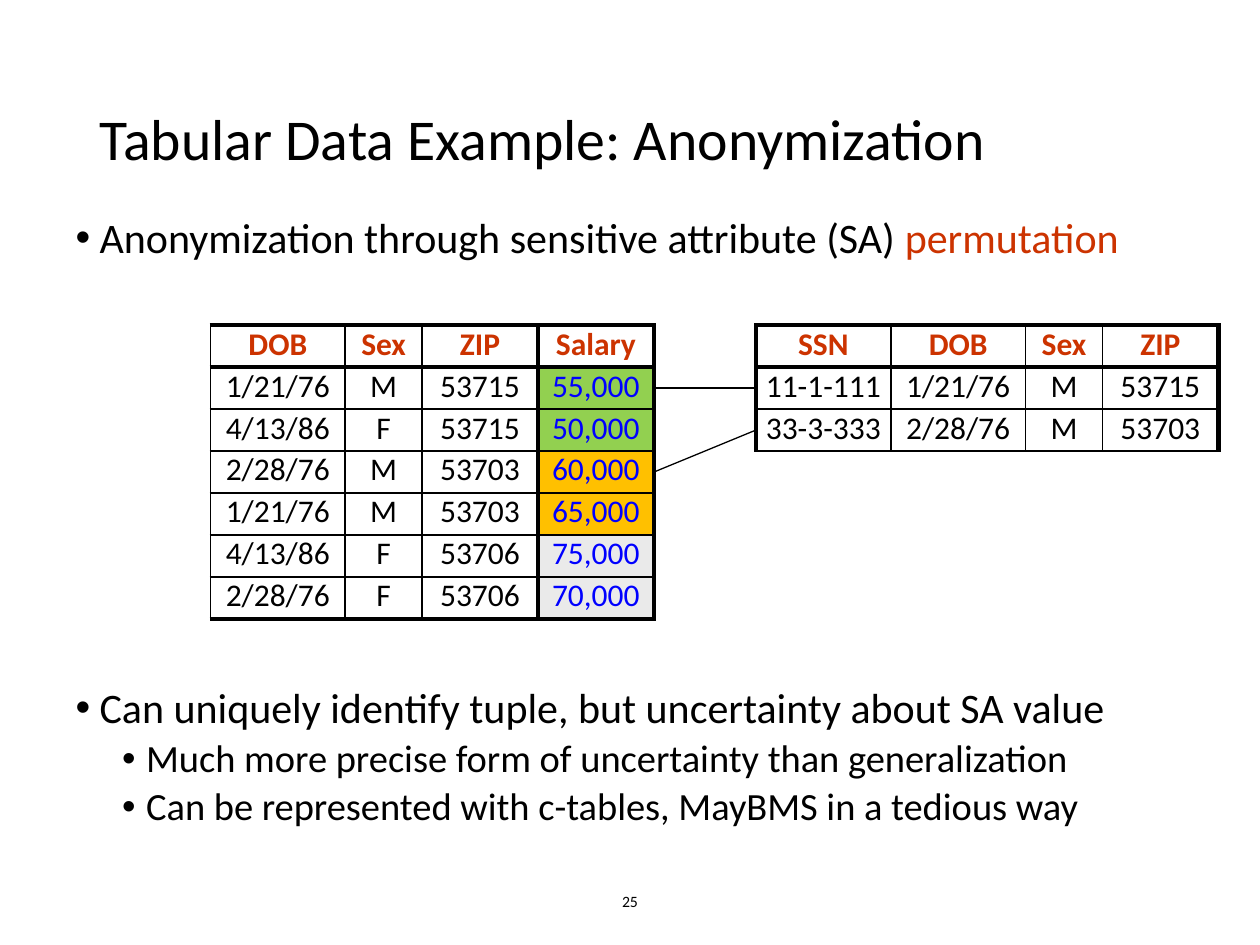
import pptx
import pptx.dml.color
import pptx.enum.shapes
import pptx.enum.text
import pptx.oxml
import pptx.oxml.ns
import pptx.util
from pptx.util import Inches

COLORS = {"text": "000000", "accent": "CC3300", "salary": "0000FF",
          "green": "92D050", "amber": "FFC000", "gray": "EAEAEA"}
FONT = "Calibri"
ALIGN = pptx.enum.text.PP_ALIGN
ANCHOR = pptx.enum.text.MSO_ANCHOR

# Content
TITLE = "Tabular Data Example: Anonymization"
PAGE_NUMBER = "25"
# Each bullet: level, space before (pt), text size, runs of (text, color)
BULLETS = [
    (0, 0, 24, [("Anonymization through sensitive attribute (SA) ", "text"),
                ("permutation", "accent")]),
    (0, 243, 24, [("Can uniquely identify tuple, but uncertainty about SA value", "text")]),
    (1, 3.8, 22, [("Much more precise form of uncertainty than generalization", "text")]),
    (1, 3.8, 22, [("Can be represented with c-tables, MayBMS in a tedious way", "text")]),
]
WIDTHS = {"SSN": 1.07, "DOB": 1.07, "Sex": 0.61, "ZIP": 0.92, "Salary": 0.92}
SALARIES = {
    "left": 1.67,
    "rows": [
        ("DOB", "Sex", "ZIP", "Salary"),
        ("1/21/76", "M", "53715", "55,000"),
        ("4/13/86", "F", "53715", "50,000"),
        ("2/28/76", "M", "53703", "60,000"),
        ("1/21/76", "M", "53703", "65,000"),
        ("4/13/86", "F", "53706", "75,000"),
        ("2/28/76", "F", "53706", "70,000"),
    ],
    "groups": ["green", "green", "amber", "amber", "gray", "gray"],
    "vertical": [1, 1, 1, 3, 2.25],
    "horizontal": [2.25, 3, 1, 1, 1, 1, 1, 2.25],
}
PEOPLE = {
    "left": 6,
    "rows": [
        ("SSN", "DOB", "Sex", "ZIP"),
        ("11-1-111", "1/21/76", "M", "53715"),
        ("33-3-333", "2/28/76", "M", "53703"),
    ],
    "groups": [],
    "vertical": [2.25, 1, 1, 1, 3],
    "horizontal": [2.25, 3, 1, 1],
}
LINKS = [(1, 1), (3, 2)]  # salary row, person row
TABLE_TOP = 2.58
ROW_HEIGHT = 1 / 3


def color(name):
    return pptx.dml.color.RGBColor.from_string(COLORS[name])


def add_run(paragraph, text, size, color_name="text", bold=False):
    run = paragraph.add_run()
    run.text = text
    formats = {"name": FONT, "size": pptx.util.Pt(size), "bold": bold}
    for attribute, value in formats.items():
        setattr(run.font, attribute, value)
    run.font.color.rgb = color(color_name)


def place(shape, left, top, width, height):
    box = {"left": left, "top": top, "width": width, "height": height}
    for attribute, value in box.items():
        setattr(shape, attribute, Inches(value))


def add_element(parent, xml):
    namespace = pptx.oxml.ns.nsdecls("a")
    parent.append(pptx.oxml.parse_xml(xml.replace("/>", f" {namespace}/>", 1)
                                      if xml.endswith("/>") and xml.count("<") == 1
                                      else xml.replace(">", f" {namespace}>", 1)))


def add_borders(cell, weights):
    for side, weight in weights.items():
        add_element(cell._tc.get_or_add_tcPr(),
                    f'<a:{side} w="{int(weight * 12700)}"><a:solidFill>'
                    f'<a:srgbClr val="{COLORS["text"]}"/></a:solidFill></a:{side}>')


def add_data_table(slide, data):
    rows, vertical, horizontal = data["rows"], data["vertical"], data["horizontal"]
    widths = [WIDTHS[heading] for heading in rows[0]]
    table = slide.shapes.add_table(
        len(rows), len(widths), Inches(data["left"]), Inches(TABLE_TOP),
        Inches(sum(widths)), Inches(ROW_HEIGHT * len(rows))).table
    table.first_row = table.horz_banding = False
    for column, width in zip(table.columns, widths):
        column.width = Inches(width)
    for r, values in enumerate(rows):
        table.rows[r].height = Inches(ROW_HEIGHT)
        for c, value in enumerate(values):
            cell = table.cell(r, c)
            formats = {"margin_left": Inches(0.05), "margin_right": Inches(0.05),
                       "margin_top": 0, "margin_bottom": 0,
                       "vertical_anchor": ANCHOR.TOP}
            for attribute, setting in formats.items():
                setattr(cell, attribute, setting)
            add_borders(cell, {"lnL": vertical[c], "lnR": vertical[c + 1],
                               "lnT": horizontal[r], "lnB": horizontal[r + 1]})
            is_salary = r > 0 and rows[0][c] == "Salary"
            if is_salary:
                cell.fill.solid()
                cell.fill.fore_color.rgb = color(data["groups"][r - 1])
            else:
                cell.fill.background()
            paragraph = cell.text_frame.paragraphs[0]
            paragraph.alignment = ALIGN.CENTER
            tone = "accent" if r == 0 else "salary" if is_salary else "text"
            add_run(paragraph, value, 18, tone, bold=r == 0)


def row_middle(row):
    return Inches(TABLE_TOP + ROW_HEIGHT * (row + 0.5))


def main():
    deck = pptx.Presentation()
    deck.slide_width, deck.slide_height = Inches(10), Inches(7.5)
    slide = deck.slides.add_slide(deck.slide_layouts[1])

    # Title
    title = slide.shapes.title
    place(title, 0.69, 0.4, 8.62, 1.45)
    title.text_frame.vertical_anchor = ANCHOR.MIDDLE
    title.text_frame.auto_size = pptx.enum.text.MSO_AUTO_SIZE.NONE
    heading = title.text_frame.paragraphs[0]
    heading.alignment, heading.line_spacing = ALIGN.LEFT, 0.9
    add_run(heading, TITLE, 33)

    # Bullets, leaving room for the tables after the first
    body = slide.placeholders[1]
    place(body, 0.5, 1.67, 9.5, 5.42)
    frame = body.text_frame
    frame.auto_size = pptx.enum.text.MSO_AUTO_SIZE.NONE
    for index, (level, space, size, runs) in enumerate(BULLETS):
        paragraph = frame.add_paragraph() if index else frame.paragraphs[0]
        properties = paragraph._p.get_or_add_pPr()
        properties.set("marL", str(Inches(0.19 + 0.37 * level)))
        properties.set("indent", str(Inches(-0.19)))
        add_element(properties, '<a:buFont typeface="Arial"/>')
        add_element(properties, '<a:buChar char="•"/>')
        formats = {"level": level, "line_spacing": 0.9, "alignment": ALIGN.LEFT,
                   "space_before": pptx.util.Pt(space)}
        for attribute, value in formats.items():
            setattr(paragraph, attribute, value)
        for text, tone in runs:
            add_run(paragraph, text, size, tone)

    # Tables and the links between matching rows
    for data in (SALARIES, PEOPLE):
        add_data_table(slide, data)
    salary_edge = SALARIES["left"] + sum(WIDTHS[name] for name in SALARIES["rows"][0])
    for salary_row, person_row in LINKS:
        link = slide.shapes.add_connector(
            pptx.enum.shapes.MSO_CONNECTOR.STRAIGHT,
            Inches(salary_edge), row_middle(salary_row),
            Inches(PEOPLE["left"]), row_middle(person_row))
        link.line.color.rgb = color("text")
        link.line.width = pptx.util.Pt(0.75)
        add_element(link._element.spPr, "<a:effectLst/>")

    # Page number
    footer = slide.shapes.add_textbox(
        Inches(3.31), Inches(6.95), Inches(3.38), Inches(0.4)).text_frame
    footer.word_wrap = True
    footer.vertical_anchor = ANCHOR.MIDDLE
    footer.paragraphs[0].alignment = ALIGN.CENTER
    add_run(footer.paragraphs[0], PAGE_NUMBER, 9)

    deck.save("out.pptx")


if __name__ == "__main__":
    main()
